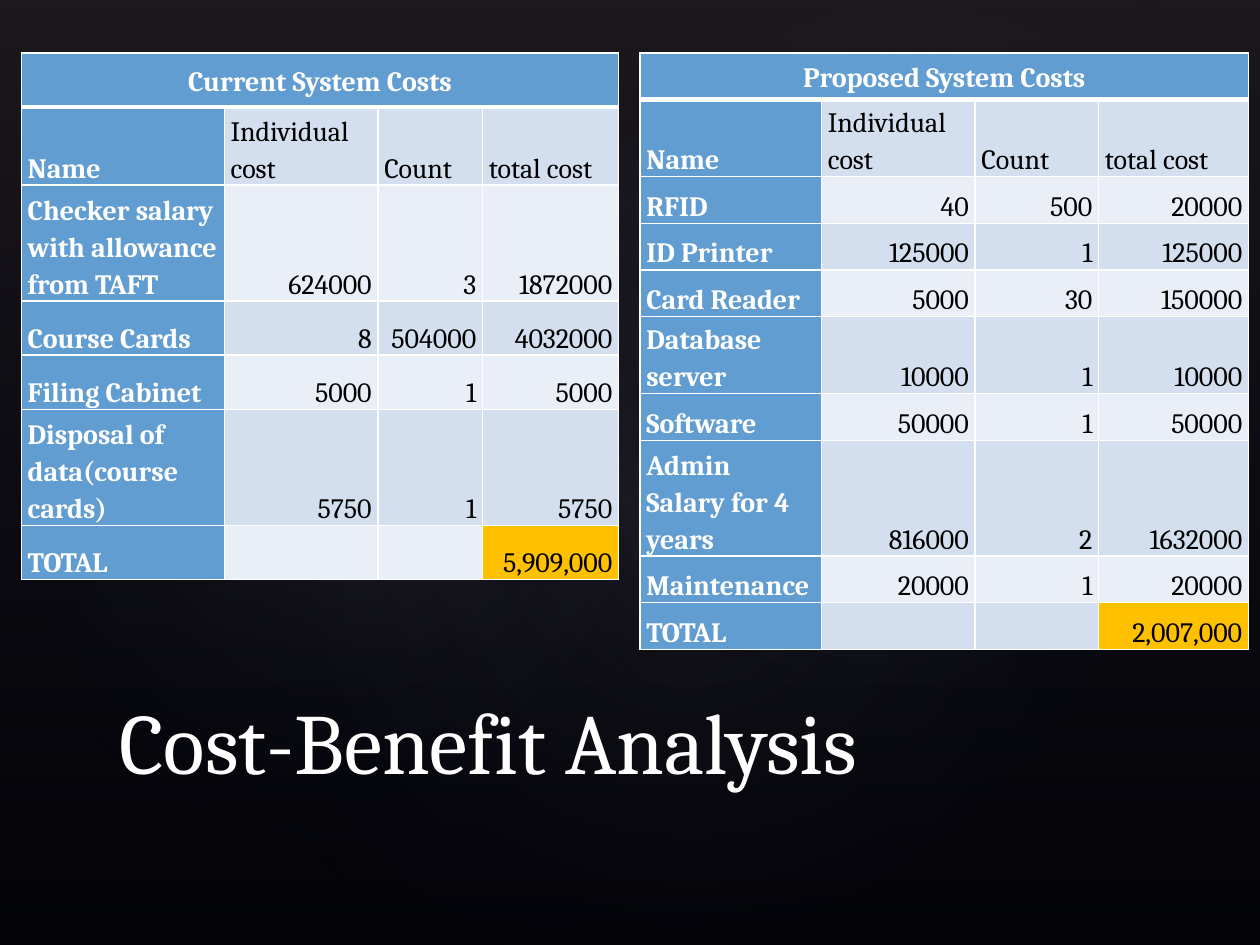
from dataclasses import dataclass
from typing import Optional

from lxml.etree import SubElement
from pptx import Presentation
from pptx.dml.color import RGBColor
from pptx.enum.shapes import MSO_SHAPE
from pptx.enum.text import MSO_ANCHOR, PP_ALIGN
from pptx.oxml.ns import qn
from pptx.util import Inches, Pt


@dataclass(frozen=True)
class Theme:
    font: str = "Cambria"
    title_size: float = 49
    cell_size: float = 16
    line_spacing: float = 1.15
    border: float = 1
    header_border: float = 3
    background: str = "000000"
    light: str = "FFFFFF"
    dark: str = "000000"
    accent: str = "629DD1"
    bands: tuple = ("D3DFEE", "EAEFF7")
    total: str = "FFC000"
    haze_top: str = "504652"
    haze_base: str = "242852"
    glow: str = "C4BCC6"


@dataclass(frozen=True)
class Stop:
    position: int
    color: str
    opacity: int


@dataclass(frozen=True)
class Glow:
    left: float
    top: float
    width: float
    height: float
    rotation: float
    opacity: int


@dataclass(frozen=True)
class CostTable:
    title: str
    left: float
    columns: tuple
    heights: tuple
    items: tuple
    total: str


THEME = Theme()
TABLE_TOP = 0.42
HEADINGS = ("Name", "Individual cost", "Count", "total cost")

GLOWS = (
    Glow(1.5, 1.14, 7.92, 6.24, 328.7, 7),
    Glow(-0.3, 1.28, 6.06, 4.9, 294.3, 8),
    Glow(3.58, 0.13, 7.09, 5.2, 328.7, 8),
)

TABLES = (
    CostTable(
        "Current System Costs", 0.17, (1.61, 1.22, 0.83, 1.08),
        (0.43, 0.62, 0.92, 0.43, 0.43, 0.92, 0.43),
        (
            ("Checker salary with allowance from TAFT", "624000", "3", "1872000"),
            ("Course Cards", "8", "504000", "4032000"),
            ("Filing Cabinet", "5000", "1", "5000"),
            ("Disposal of data(course cards)", "5750", "1", "5750"),
        ),
        "5,909,000",
    ),
    CostTable(
        "Proposed System Costs", 5.08, (1.44, 1.22, 0.98, 1.19),
        (0.37,) * 10,
        (
            ("RFID", "40", "500", "20000"),
            ("ID Printer", "125000", "1", "125000"),
            ("Card Reader", "5000", "30", "150000"),
            ("Database server", "10000", "1", "10000"),
            ("Software", "50000", "1", "50000"),
            ("Admin Salary for 4 years", "816000", "2", "1632000"),
            ("Maintenance", "20000", "1", "20000"),
        ),
        "2,007,000",
    ),
)


def style_runs(p, size: float, color: str, bold: bool = False) -> None:
    for r in p.runs:
        r.font.name = THEME.font
        r.font.size = Pt(size)
        r.font.bold = bold
        r.font.color.rgb = RGBColor.from_string(color)


def set_gradient(sp, stops: tuple, angle: Optional[int] = None) -> None:
    sp.fill.gradient()
    grad = sp._element.spPr.find(qn("a:gradFill"))
    for child in list(grad):
        grad.remove(child)
    stop_list = SubElement(grad, qn("a:gsLst"))
    for stop in stops:
        gs = SubElement(stop_list, qn("a:gs"), pos=str(stop.position * 1000))
        color = SubElement(gs, qn("a:srgbClr"), val=stop.color)
        SubElement(color, qn("a:alpha"), val=str(stop.opacity * 1000))
    if angle is None:
        radial = SubElement(grad, qn("a:path"), path="circle")
        SubElement(radial, qn("a:fillToRect"), l="50000", t="50000", r="50000", b="50000")
    else:
        SubElement(grad, qn("a:lin"), ang=str(angle * 60000), scaled="0")


def add_plain_shape(s, kind: MSO_SHAPE, left: float, top: float, width: float, height: float):
    sp = s.shapes.add_shape(kind, Inches(left), Inches(top), Inches(width), Inches(height))
    sp.shadow.inherit = False
    sp.line.fill.background()
    return sp


def add_backdrop(s) -> None:
    s.background.fill.solid()
    s.background.fill.fore_color.rgb = RGBColor.from_string(THEME.background)
    haze = add_plain_shape(s, MSO_SHAPE.RECTANGLE, 0, 0, 10, 7.5)
    set_gradient(haze, (Stop(0, THEME.haze_top, 36), Stop(100, THEME.haze_base, 10)), 90)
    for glow in GLOWS:
        sp = add_plain_shape(s, MSO_SHAPE.OVAL, glow.left, glow.top, glow.width, glow.height)
        sp.rotation = glow.rotation
        set_gradient(sp, (Stop(0, THEME.glow, glow.opacity), Stop(58, THEME.haze_base, 0)))


def add_title(s, text: str) -> None:
    tf = s.shapes.add_textbox(Inches(0.85), Inches(5.33), Inches(8.25), Inches(1)).text_frame
    tf.word_wrap = True
    tf.vertical_anchor = MSO_ANCHOR.BOTTOM
    tf.text = text
    style_runs(tf.paragraphs[0], THEME.title_size, THEME.light)


def set_borders(cell, row: int) -> None:
    widths = dict.fromkeys(("lnL", "lnR", "lnT", "lnB"), THEME.border)
    if row == 0:
        widths["lnB"] = THEME.header_border
    elif row == 1:
        widths["lnT"] = THEME.header_border
    tc_pr = cell._tc.get_or_add_tcPr()
    for index, (side, width) in enumerate(widths.items()):
        ln = SubElement(tc_pr, qn(f"a:{side}"), w=str(Pt(width)))
        SubElement(SubElement(ln, qn("a:solidFill")), qn("a:srgbClr"), val=THEME.light)
        tc_pr.insert(index, ln)


def fill_cell(cell, text: str, row: int, col: int, is_total: bool) -> None:
    labelled = row == 0 or col == 0
    band = THEME.bands[(row + 1) % 2]
    color = THEME.accent if labelled else THEME.total if is_total else band
    cell.fill.solid()
    cell.fill.fore_color.rgb = RGBColor.from_string(color)
    cell.margin_left = cell.margin_right = Inches(0.05)
    cell.margin_top = cell.margin_bottom = 0
    cell.vertical_anchor = MSO_ANCHOR.MIDDLE if row == 0 else MSO_ANCHOR.BOTTOM
    p = cell.text_frame.paragraphs[0]
    p.text = text
    p.line_spacing = THEME.line_spacing
    if row == 0:
        p.alignment = PP_ALIGN.CENTER
    elif row > 1 and col > 0:
        p.alignment = PP_ALIGN.RIGHT
    style_runs(p, THEME.cell_size, THEME.light if labelled else THEME.dark, labelled)
    set_borders(cell, row)


def add_cost_table(s, costs: CostTable) -> None:
    rows = ((costs.title, "", "", ""), HEADINGS, *costs.items, ("TOTAL", "", "", costs.total))
    table = s.shapes.add_table(
        len(rows), len(HEADINGS), Inches(costs.left), Inches(TABLE_TOP),
        Inches(sum(costs.columns)), Inches(sum(costs.heights)),
    ).table
    table.horz_banding = False
    table.first_row = False
    for column, width in zip(table.columns, costs.columns):
        column.width = Inches(width)
    for row, height in zip(table.rows, costs.heights):
        row.height = Inches(height)
    for i, values in enumerate(rows):
        for j, text in enumerate(values):
            is_total = i == len(rows) - 1 and j == len(values) - 1
            fill_cell(table.cell(i, j), text, i, j, is_total)
    table.cell(0, 0).merge(table.cell(0, len(HEADINGS) - 1))


def main() -> None:
    prs = Presentation()
    prs.slide_width, prs.slide_height = Inches(10), Inches(7.5)
    s = prs.slides.add_slide(prs.slide_layouts[6])
    add_backdrop(s)
    add_title(s, "Cost-Benefit Analysis")
    for costs in TABLES:
        add_cost_table(s, costs)
    prs.save("out.pptx")


if __name__ == "__main__":
    main()
